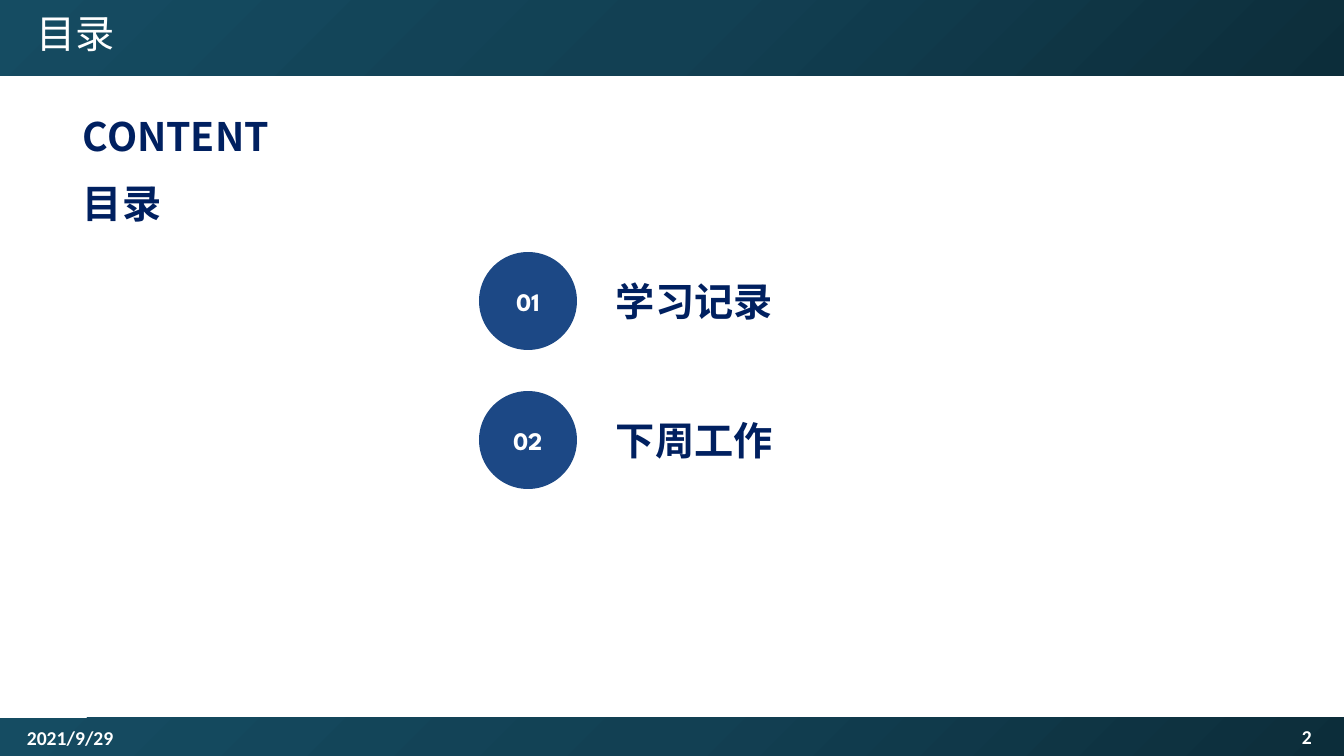
from dataclasses import dataclass

from lxml.etree import SubElement
from pptx import Presentation
from pptx.dml.color import RGBColor
from pptx.enum.shapes import MSO_SHAPE
from pptx.enum.text import MSO_ANCHOR, PP_ALIGN
from pptx.oxml import parse_xml
from pptx.oxml.ns import nsdecls, qn
from pptx.util import Pt

EMU_PER_PIXEL = 914400 / 100.8


@dataclass(frozen=True)
class Theme:
    """Colours, fonts and type sizes of the deck."""
    white: str = "FFFFFF"
    navy: str = "002060"
    badge: str = "1C4885"
    band: tuple = ((0, "0C2D3A"), (50, "124053"), (100, "154C62"))
    heading_font: str = "Noto Sans CJK SC"
    badge_font: str = "League Spartan"
    footer_font: str = "Calibri"
    heading_size: int = 28
    badge_size: int = 18
    footer_size: int = 14


def px(length):
    """Turn pixels into EMU."""
    return round(length * EMU_PER_PIXEL)


class SlideBuilder:
    """Draws styled elements on one slide."""

    def __init__(self, page, theme):
        """Keep the slide and its style."""
        self.page = page
        self.theme = theme

    def shape(self, kind, left, top, width, height):
        """Add a preset shape without line or shadow."""
        shape = self.page.shapes.add_shape(kind, px(left), px(top), px(width), px(height))
        shape.shadow.inherit = False
        shape.line.fill.background()
        return shape

    def band(self, top, height):
        """Add a full-width band, darkest in its lower right corner."""
        band = self.shape(MSO_SHAPE.RECTANGLE, 0, top, 1344, height)
        stops = "".join(
            f'<a:gs pos="{position * 1000}"><a:srgbClr val="{color}"/></a:gs>'
            for position, color in self.theme.band)
        gradient = parse_xml(
            f'<a:gradFill {nsdecls("a")} rotWithShape="1"><a:gsLst>{stops}</a:gsLst>'
            '<a:path path="circle"><a:fillToRect l="100000" t="100000"/></a:path>'
            '</a:gradFill>')
        band.fill.background()
        properties = band.element.spPr
        properties.replace(properties.find(qn("a:noFill")), gradient)

    def fill_text(self, frame, text, font, size, color, bold=True, align=PP_ALIGN.LEFT):
        """Fill a text frame with one styled paragraph."""
        frame.word_wrap = True
        para = frame.paragraphs[0]
        para.text = text
        para.alignment = align
        para.font.name = font
        para.font.size = Pt(size)
        para.font.bold = bold
        para.font.color.rgb = RGBColor.from_string(color)
        defaults = para._p.find(".//" + qn("a:defRPr"))
        SubElement(defaults, qn("a:ea")).set("typeface", font)
        return para

    def text(self, text, left, top, width, height, *style, **options):
        """Add a text box with one paragraph."""
        box = self.page.shapes.add_textbox(px(left), px(top), px(width), px(height))
        return self.fill_text(box.text_frame, text, *style, **options)

    def heading(self, text, left, top, width):
        """Add a bold navy heading."""
        self.text(text, left, top, width, 57, self.theme.heading_font,
                  self.theme.heading_size, self.theme.navy)

    def title(self, text):
        """Add the light title in the top band."""
        para = self.text(text, 27, 10, 452, 52, self.theme.heading_font,
                         self.theme.heading_size, self.theme.white, bold=False)
        para.line_spacing = 0.9

    def footer(self, text, left, top, width):
        """Add a small label in the bottom band."""
        self.text(text, left, top, width, 40, self.theme.footer_font,
                  self.theme.footer_size, self.theme.white)

    def badge(self, text, left, top, diameter):
        """Add a numbered circle."""
        circle = self.shape(MSO_SHAPE.OVAL, left, top, diameter, diameter)
        circle.fill.solid()
        circle.fill.fore_color.rgb = RGBColor.from_string(self.theme.badge)
        circle.text_frame.vertical_anchor = MSO_ANCHOR.MIDDLE
        self.fill_text(circle.text_frame, text, self.theme.badge_font,
                       self.theme.badge_size, self.theme.white, align=PP_ALIGN.CENTER)


def main():
    """Build the contents slide and save the deck."""
    deck = Presentation()
    deck.slide_width, deck.slide_height = px(1344), px(756)
    page = deck.slides.add_slide(deck.slide_layouts[6])
    builder = SlideBuilder(page, Theme())

    builder.band(718, 40)
    builder.band(-5, 81)
    builder.footer("2021/9/29", 17, 721, 302)
    builder.footer("2", 1292, 720, 48)
    builder.title("目录")
    builder.heading("CONTENT", 73, 107, 256)
    builder.heading("目录", 73, 174, 256)

    for index, topic in enumerate(("学习记录", "下周工作")):
        top = 252 + index * 139
        builder.badge(f"{index + 1:02}", 479, top, 98)
        builder.heading(topic, 606, top + 20, 188)

    deck.save("out.pptx")


main()
